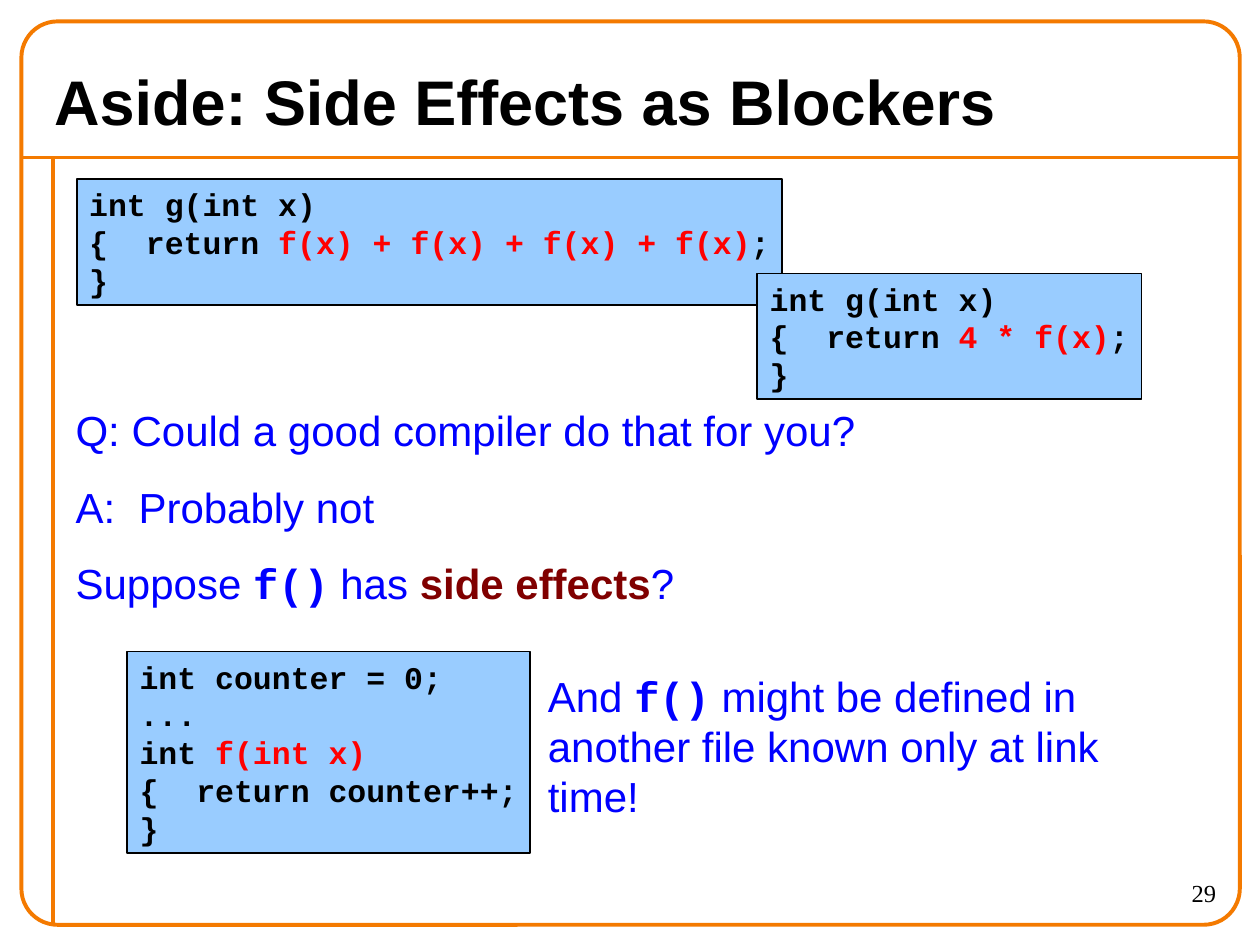
from lxml.etree import SubElement
from pptx import Presentation
from pptx.dml.color import RGBColor
from pptx.enum.shapes import MSO_CONNECTOR, MSO_SHAPE
from pptx.enum.text import MSO_ANCHOR, MSO_AUTO_SIZE, PP_ALIGN
from pptx.oxml.ns import qn
from pptx.util import Inches, Pt

COLORS = {
    "frame": "F47A00", "code_fill": "99CCFF", "black": "000000",
    "red": "FF0000", "blue": "0000FF", "maroon": "800000",
}
TITLE = {"name": "Arial", "size": Pt(36), "bold": True, "color": "black"}
PROSE = {"name": "Arial", "size": Pt(24), "bold": False, "color": "blue"}
CODE = {"name": "Courier New", "size": Pt(18), "bold": True, "color": "black"}
NUMBER = {"name": "Times New Roman", "size": Pt(14), "bold": False, "color": "black"}
HOT = {"color": "red"}
INLINE_CODE = {"name": "Courier New", "bold": True}
STRONG = {"color": "maroon", "bold": True}


def color(name):
    return RGBColor.from_string(COLORS[name])


def write(box, lines, base, leading=None, align=PP_ALIGN.LEFT, gap=0):
    """Fill a box; each line is a list of (text, format changes)."""
    frame = box.text_frame
    for index, spans in enumerate(lines):
        para = frame.paragraphs[0] if index == 0 else frame.add_paragraph()
        para.alignment = align
        para.space_before = Pt(gap if index else 0)
        if leading:
            para.line_spacing = Pt(leading)
        for text, changes in spans:
            span = para.add_run()
            span.text = text
            for key, value in {**base, **changes}.items():
                if key == "color":
                    span.font.color.rgb = color(value)
                else:
                    setattr(span.font, key, value)


def place(shape, box):
    for key, value in zip(("left", "top", "width", "height"), box):
        setattr(shape, key, Inches(value))


def add_frame(page, box):
    """Rounded border with a rule under the title and one down the left."""
    left, top, width, height = box
    rule_top, rule_left = top + 1.08, left + 0.25
    rules = [
        (left, rule_top, left + width, rule_top),
        (rule_left, rule_top, rule_left, top + height),
    ]
    for ends in rules:
        rule = page.shapes.add_connector(
            MSO_CONNECTOR.STRAIGHT, *[Inches(value) for value in ends])
        rule.line.color.rgb = color("frame")
        rule.line.width = Pt(2.25)
        SubElement(rule.element.spPr, qn("a:effectLst"))
    border = page.shapes.add_shape(
        MSO_SHAPE.ROUNDED_RECTANGLE, *[Inches(value) for value in box])
    border.adjustments[0] = 0.04
    border.shadow.inherit = False
    border.fill.background()
    border.line.color.rgb = color("frame")
    border.line.width = Pt(2.25)


def add_title(page, box, text):
    title = page.shapes.title
    place(title, box)
    title.text_frame.vertical_anchor = MSO_ANCHOR.MIDDLE
    title.text_frame.auto_size = MSO_AUTO_SIZE.NONE
    write(title, [[(text, {})]], TITLE)


def add_body(page, box, lines):
    body = page.placeholders[1]
    place(body, box)
    body.text_frame.auto_size = MSO_AUTO_SIZE.NONE
    body.text_frame.vertical_anchor = MSO_ANCHOR.TOP
    write(body, lines, PROSE, leading=28.8, gap=15)
    for para in body.text_frame.paragraphs:
        properties = para._p.get_or_add_pPr()
        properties.set("marL", str(Inches(0.24)))
        properties.set("indent", str(Inches(-0.24)))
        SubElement(properties, qn("a:buNone"))


def add_code(page, box, lines):
    panel = page.shapes.add_shape(
        MSO_SHAPE.RECTANGLE, *[Inches(value) for value in box])
    panel.shadow.inherit = False
    panel.fill.solid()
    panel.fill.fore_color.rgb = color("code_fill")
    panel.line.color.rgb = color("black")
    panel.line.width = Pt(1)
    panel.text_frame.word_wrap = False
    panel.text_frame.vertical_anchor = MSO_ANCHOR.TOP
    write(panel, lines, CODE, leading=21.6)


def add_text(page, box, lines, base, **options):
    note = page.shapes.add_textbox(*[Inches(value) for value in box])
    note.text_frame.word_wrap = True
    write(note, lines, base, **options)


def function_g(expression):
    return [
        [("int g(int x)", {})],
        [("{  return ", {}), (expression, HOT), (";", {})],
        [("}", {})],
    ]


def main():
    deck = Presentation()
    deck.slide_width, deck.slide_height = Inches(10), Inches(7.5)
    page = deck.slides.add_slide(deck.slide_layouts[1])

    # Border, page number and title
    add_frame(page, (0.17, 0.17, 9.67, 7.17))
    add_text(page, (8.75, 6.92, 1, 0.42), [[("29", {})]], NUMBER,
             align=PP_ALIGN.RIGHT)
    add_title(page, (0.33, 0.42, 9.33, 0.75), "Aside: Side Effects as Blockers")

    # Question and answer
    add_body(page, (0.5, 3.16, 9.25, 1.9), [
        [("Q: Could a good compiler do that for you?", {})],
        [("A:  Probably not", {})],
        [("Suppose ", {}), ("f()", INLINE_CODE), (" has ", {}),
         ("side effects", STRONG), ("?", {})],
    ])

    # Code before and after the rewrite
    add_code(page, (0.61, 1.42, 5.6, 1), function_g("f(x) + f(x) + f(x) + f(x)"))
    add_code(page, (6.01, 2.17, 3.05, 1), function_g("4 * f(x)"))

    # Function with a side effect, and the remark beside it
    add_code(page, (1.01, 5.17, 3.2, 1.6), [
        [("int counter = 0;", {})],
        [("...", {})],
        [("int ", {}), ("f(int x)", HOT)],
        [("{  return counter++;", {})],
        [("}", {})],
    ])
    add_text(page, (4.25, 5.27, 5.17, 1.3), [
        [("And ", {}), ("f()", INLINE_CODE),
         (" might be defined in another file known only at link time!", {})],
    ], PROSE, leading=28.8)

    deck.save("out.pptx")


if __name__ == "__main__":
    main()
